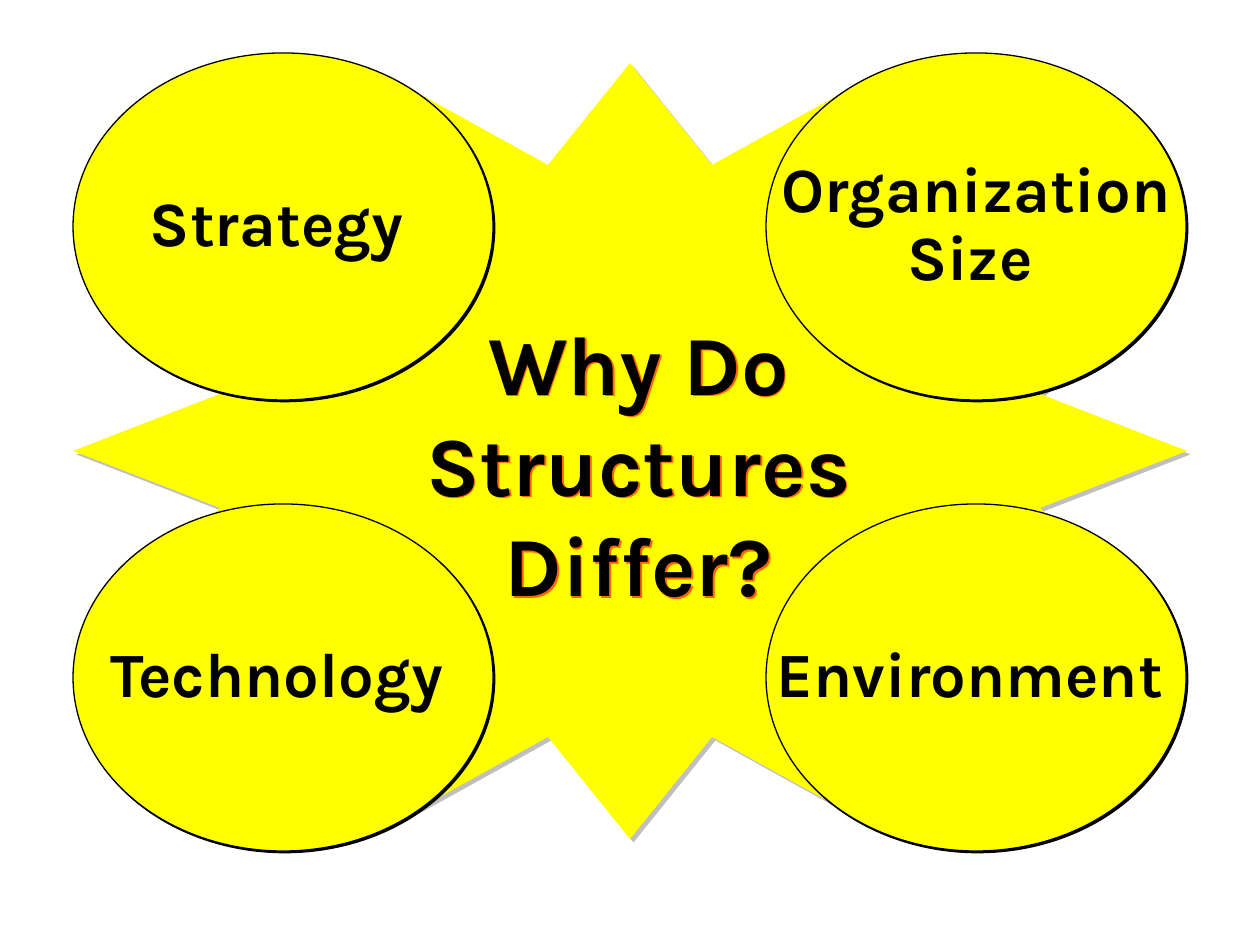
from dataclasses import dataclass

from lxml.etree import SubElement
from pptx import Presentation
from pptx.dml.color import RGBColor
from pptx.enum.shapes import MSO_SHAPE
from pptx.enum.text import MSO_ANCHOR, MSO_AUTO_SIZE, PP_ALIGN
from pptx.oxml.ns import qn
from pptx.util import Emu, Pt

EMU_PER_PX = 914400 / 126
PAGE_WIDTH, PAGE_HEIGHT = 1260, 945


def px(value):
    return Emu(round(value * EMU_PER_PX))


@dataclass(frozen=True)
class Theme:
    font: str = "Karla"
    yellow: str = "FFFF00"
    black: str = "000000"
    gray: str = "808080"
    orange: str = "FF6600"
    title_size: int = 48
    label_size: int = 36
    space_size: int = 28
    outline: float = 0.75


class SlideBuilder:
    def __init__(self, page, theme):
        self.page = page
        self.theme = theme

    def shadow(self, shape, color, distance, opacity=100):
        shape.shadow.inherit = False
        effects = shape.element.spPr.find(qn("a:effectLst"))
        outer = SubElement(effects, qn("a:outerShdw"), dist=str(Pt(distance)),
                           dir="2700000", algn="ctr", rotWithShape="0")
        tint = SubElement(outer, qn("a:srgbClr"), val=color)
        SubElement(tint, qn("a:alpha"), val=str(opacity * 1000))

    def fill(self, shape):
        shape.fill.solid()
        shape.fill.fore_color.rgb = RGBColor.from_string(self.theme.yellow)

    def span(self, para, text, size):
        span = para.add_run()
        span.text = text
        span.font.name = self.theme.font
        span.font.size = Pt(size)
        span.font.bold = True
        span.font.color.rgb = RGBColor.from_string(self.theme.black)

    def lines(self, frame, lines, size, spacing):
        for index, line in enumerate(lines):
            para = frame.add_paragraph() if index else frame.paragraphs[0]
            para.alignment = PP_ALIGN.CENTER
            para.line_spacing = spacing
            self.span(para, line, size)
        return para

    def star(self, points):
        outline = self.page.shapes.build_freeform(*points[0], scale=EMU_PER_PX)
        outline.add_line_segments(points[1:], close=True)
        star = outline.convert_to_shape()
        self.fill(star)
        star.line.fill.background()
        self.shadow(star, self.theme.gray, 2.8, opacity=50)

    def title(self, left, top, width, height, lines):
        title = self.page.shapes.title
        title.left, title.top = px(left), px(top)
        title.width, title.height = px(width), px(height)
        title.fill.background()
        self.shadow(title, self.theme.orange, 1.4)
        frame = title.text_frame
        frame.word_wrap = True
        frame.auto_size = MSO_AUTO_SIZE.SHAPE_TO_FIT_TEXT
        frame.vertical_anchor = MSO_ANCHOR.TOP
        self.lines(frame, lines, self.theme.title_size, 1.0)
        title.element.getparent().append(title.element)

    def oval(self, left, top, width, height, lines):
        oval = self.page.shapes.add_shape(
            MSO_SHAPE.OVAL, px(left), px(top), px(width), px(height))
        self.fill(oval)
        oval.line.color.rgb = RGBColor.from_string(self.theme.black)
        oval.line.width = Pt(self.theme.outline)
        self.shadow(oval, self.theme.black, 1.4)
        frame = oval.text_frame
        frame.word_wrap = False
        frame.vertical_anchor = MSO_ANCHOR.MIDDLE
        last = self.lines(frame, lines, self.theme.label_size, 0.9)
        self.span(last, " ", self.theme.space_size)


def star_points():
    center_x, center_y = 630, 451
    quarter = [(630, 63), (548, 165), (416, 92), (397, 208), (236, 176),
               (282, 289), (115, 301), (220, 394), (73, 451)]
    left = quarter + [(x, 2 * center_y - y) for x, y in quarter[-2::-1]]
    right = [(2 * center_x - x, y) for x, y in left[-2:0:-1]]
    return left + right


def main():
    deck = Presentation()
    deck.slide_width, deck.slide_height = px(PAGE_WIDTH), px(PAGE_HEIGHT)
    page = deck.slides.add_slide(deck.slide_layouts[5])
    builder = SlideBuilder(page, Theme())

    builder.star(star_points())
    builder.title(346, 305, 585, 315, ["Why Do", "Structures", "Differ?"])

    factors = [
        [["Strategy"], ["Organization", "Size"]],
        [["Technology"], ["Environment"]],
    ]
    for top, row in zip((53, 504), factors):
        for left, lines in zip((73, 766), row):
            builder.oval(left, top, 420, 347, lines)

    deck.save("out.pptx")


if __name__ == "__main__":
    main()
